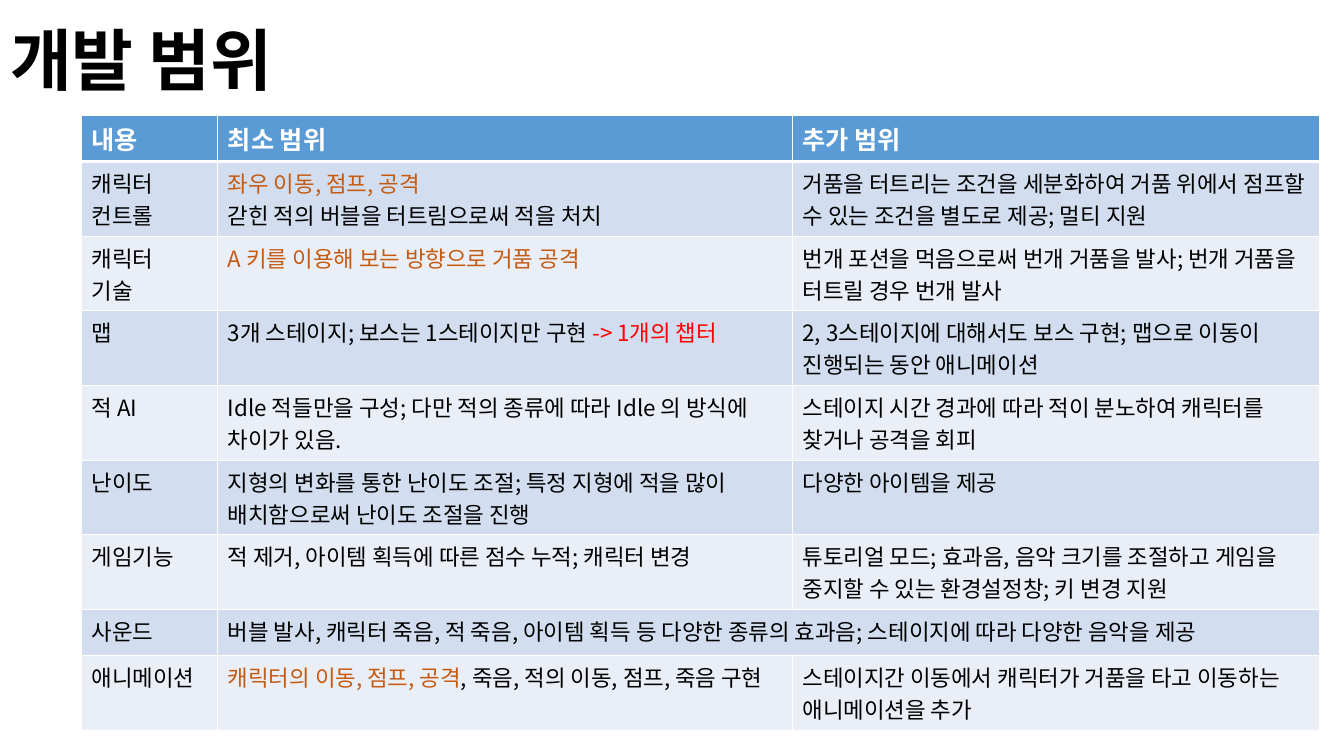
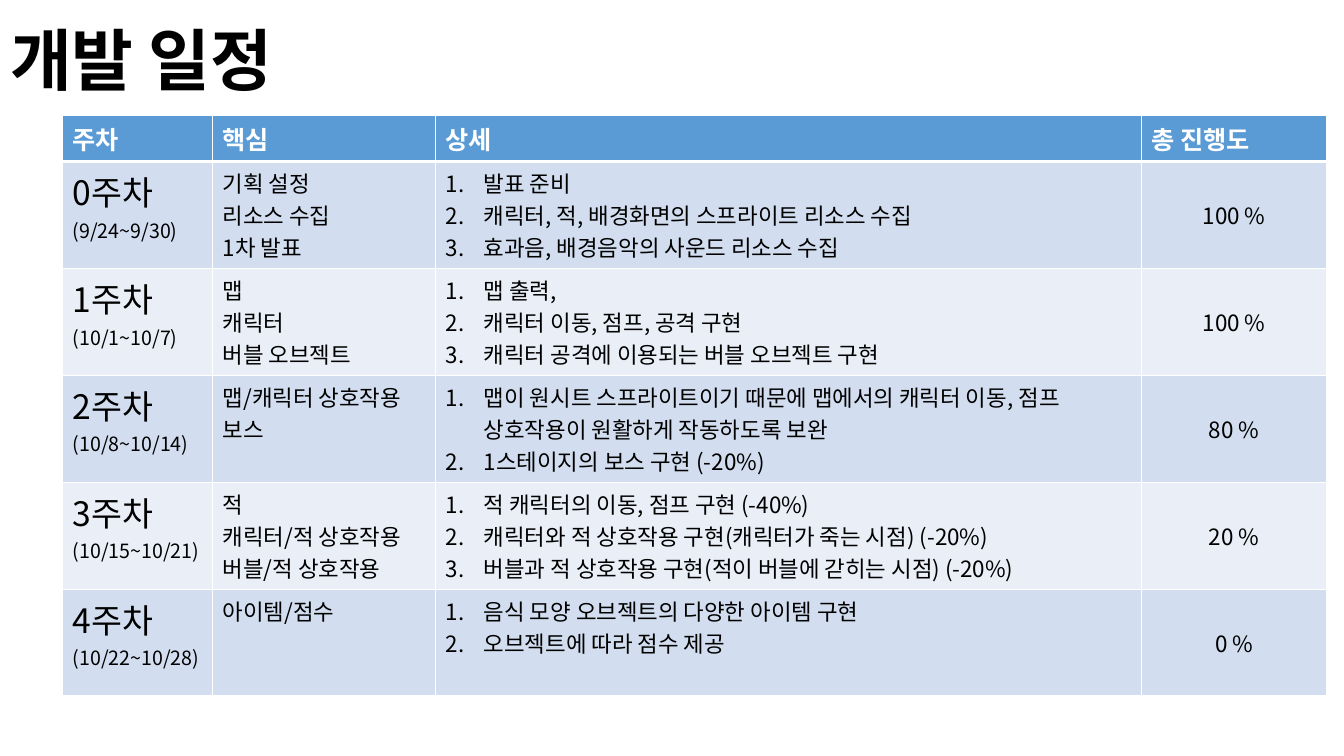
from lxml import etree
from pptx import Presentation
from pptx.dml.color import RGBColor
from pptx.enum.text import MSO_ANCHOR, MSO_AUTO_SIZE, PP_ALIGN
from pptx.oxml.ns import qn
from pptx.util import Inches, Pt

BLACK = RGBColor(0x00, 0x00, 0x00)
WHITE = RGBColor(0xFF, 0xFF, 0xFF)
ORANGE = RGBColor(0xC5, 0x5A, 0x11)
RED = RGBColor(0xFF, 0x00, 0x00)
HEADER_BLUE = RGBColor(0x5B, 0x9B, 0xD5)
BAND_DARK = RGBColor(0xD2, 0xDE, 0xEF)
BAND_LIGHT = RGBColor(0xEA, 0xEF, 0xF7)

KOREAN_FONT = "Noto Sans CJK KR"
TITLE_FONT = "Arial"
TABLE_TOP = 1.14
HEADER_HEIGHT = 0.44
LIST_INDENT = Inches(0.38)

prs = Presentation()
prs.slide_width = Inches(13.33)
prs.slide_height = Inches(7.5)


def add_run(paragraph, text, size=16, colour=BLACK, bold=False, latin=KOREAN_FONT):
    run = paragraph.add_run()
    run.text = text
    font = run.font
    font.size = Pt(size)
    font.bold = bold
    font.color.rgb = colour
    font.name = latin
    etree.SubElement(run._r.get_or_add_rPr(), qn("a:ea"), typeface=KOREAN_FONT)


def add_table_slide(heading, left, widths, body_heights, headers):
    """Add a titled slide with a banded table; return the table, its body still empty."""
    slide = prs.slides.add_slide(prs.slide_layouts[5])
    title = slide.shapes.title
    title.left, title.top = Inches(0), Inches(0.13)
    title.width, title.height = Inches(3.13), Inches(0.91)
    frame = title.text_frame
    frame.auto_size = MSO_AUTO_SIZE.NONE
    frame.vertical_anchor = MSO_ANCHOR.MIDDLE
    frame.paragraphs[0].alignment = PP_ALIGN.LEFT
    add_run(frame.paragraphs[0], heading, 48, bold=True, latin=TITLE_FONT)

    heights = [HEADER_HEIGHT] + body_heights
    table = slide.shapes.add_table(
        len(heights), len(widths), Inches(left), Inches(TABLE_TOP),
        Inches(sum(widths)), Inches(sum(heights))).table
    for column, width in zip(table.columns, widths):
        column.width = Inches(width)
    for number, (row, height) in enumerate(zip(table.rows, heights)):
        row.height = Inches(height)
        band = BAND_DARK if number % 2 else BAND_LIGHT
        for cell in row.cells:
            for side in "LRTB":
                thick = (number, side) in [(0, "B"), (1, "T")]
                line = etree.SubElement(cell._tc.get_or_add_tcPr(), qn(f"a:ln{side}"),
                                        w=str(Pt(3 if thick else 1)))
                line_fill = etree.SubElement(line, qn("a:solidFill"))
                etree.SubElement(line_fill, qn("a:srgbClr"), val=str(WHITE))
            cell.fill.solid()
            cell.fill.fore_color.rgb = band if number else HEADER_BLUE
    for cell, header in zip(table.rows[0].cells, headers):
        add_run(cell.text_frame.paragraphs[0], header, 18, WHITE, bold=True)
    return table


# Development scope: each cell is a list of lines, each line a list of (text, colour)
scope_rows = [
    [[[("캐릭터", BLACK)], [("컨트롤", BLACK)]],
     [[("좌우 이동, 점프, 공격", ORANGE)],
      [("갇힌 적의 버블을 터트림으로써 적을 처치", BLACK)]],
     [[("거품을 터트리는 조건을 세분화하여 거품 위에서 점프할 수 있는 조건을 별도로 제공; 멀티 지원", BLACK)]]],
    [[[("캐릭터", BLACK)], [("기술", BLACK)]],
     [[("A 키를 이용해 보는 방향으로 거품 공격", ORANGE)]],
     [[("번개 포션을 먹음으로써 번개 거품을 발사; 번개 거품을 터트릴 경우 번개 발사", BLACK)]]],
    [[[("맵", BLACK)]],
     [[("3개 스테이지; 보스는 1스테이지만 구현 ", BLACK), ("-> 1개의 챕터", RED)]],
     [[("2, 3스테이지에 대해서도 보스 구현; 맵으로 이동이 진행되는 동안 애니메이션", BLACK)]]],
    [[[("적 AI", BLACK)]],
     [[("Idle 적들만을 구성; 다만 적의 종류에 따라 Idle 의 방식에 차이가 있음.", BLACK)]],
     [[("스테이지 시간 경과에 따라 적이 분노하여 캐릭터를 찾거나 공격을 회피", BLACK)]]],
    [[[("난이도", BLACK)]],
     [[("지형의 변화를 통한 난이도 조절; 특정 지형에 적을 많이 배치함으로써 난이도 조절을 진행", BLACK)]],
     [[("다양한 아이템을 제공", BLACK)]]],
    [[[("게임기능", BLACK)]],
     [[("적 제거, 아이템 획득에 따른 점수 누적; 캐릭터 변경", BLACK)]],
     [[("튜토리얼 모드; 효과음, 음악 크기를 조절하고 게임을 중지할 수 있는 환경설정창; 키 변경 지원", BLACK)]]],
    [[[("사운드", BLACK)]],
     [[("버블 발사, 캐릭터 죽음, 적 죽음, 아이템 획득 등 다양한 종류의 효과음; 스테이지에 따라 다양한 음악을 제공", BLACK)]]],
    [[[("애니메이션", BLACK)]],
     [[("캐릭터의 이동, 점프, 공격", ORANGE), (", 죽음, 적의 이동, 점프, 죽음 구현", BLACK)]],
     [[("스테이지간 이동에서 캐릭터가 거품을 타고 이동하는 애니메이션을 추가", BLACK)]]],
]
scope = add_table_slide("개발 범위", 0.81, [1.35, 5.7, 5.23], [0.74] * 6 + [0.46, 0.74],
                        ["내용", "최소 범위", "추가 범위"])
for row_number, scope_row in enumerate(scope_rows, start=1):
    if len(scope_row) == 2:
        scope.cell(row_number, 1).merge(scope.cell(row_number, 2))
    for column_number, lines in enumerate(scope_row):
        frame = scope.cell(row_number, column_number).text_frame
        for line_number, runs in enumerate(lines):
            paragraph = frame.add_paragraph() if line_number else frame.paragraphs[0]
            for text, colour in runs:
                add_run(paragraph, text, colour=colour)

# Development schedule: week, dates, key points, numbered details, progress
weeks = [
    ("0주차", "(9/24~9/30)",
     ["기획 설정", "리소스 수집", "1차 발표"],
     ["발표 준비", "캐릭터, 적, 배경화면의 스프라이트 리소스 수집",
      "효과음, 배경음악의 사운드 리소스 수집"], "100 %"),
    ("1주차", "(10/1~10/7)",
     ["맵", "캐릭터", "버블 오브젝트"],
     ["맵 출력,", "캐릭터 이동, 점프, 공격 구현",
      "캐릭터 공격에 이용되는 버블 오브젝트 구현"], "100 %"),
    ("2주차", "(10/8~10/14)",
     ["맵/캐릭터 상호작용", "보스"],
     ["맵이 원시트 스프라이트이기 때문에 맵에서의 캐릭터 이동, 점프 상호작용이 원활하게 작동하도록 보완",
      "1스테이지의 보스 구현 (-20%)"], "80 %"),
    ("3주차", "(10/15~10/21)",
     ["적", "캐릭터/적 상호작용", "버블/적 상호작용"],
     ["적 캐릭터의 이동, 점프 구현 (-40%)",
      "캐릭터와 적 상호작용 구현(캐릭터가 죽는 시점) (-20%)",
      "버블과 적 상호작용 구현(적이 버블에 갇히는 시점) (-20%)"], "20 %"),
    ("4주차", "(10/22~10/28)",
     ["아이템/점수"],
     ["음식 모양 오브젝트의 다양한 아이템 구현", "오브젝트에 따라 점수 제공"], "0 %"),
]
schedule = add_table_slide("개발 일정", 0.62, [1.49, 2.21, 7, 1.84], [1.06] * len(weeks),
                           ["주차", "핵심", "상세", "총 진행도"])
for row_number, (week, dates, key_points, details, progress) in enumerate(weeks, start=1):
    week_cell, key_cell, detail_cell, progress_cell = schedule.rows[row_number].cells
    add_run(week_cell.text_frame.paragraphs[0], week, 24)
    add_run(week_cell.text_frame.add_paragraph(), dates, 14)

    for cell, lines in [(key_cell, key_points), (detail_cell, details)]:
        frame = cell.text_frame
        for line_number, text in enumerate(lines):
            paragraph = frame.add_paragraph() if line_number else frame.paragraphs[0]
            add_run(paragraph, text)
    for paragraph in detail_cell.text_frame.paragraphs:
        properties = paragraph._p.get_or_add_pPr()
        properties.set("marL", str(LIST_INDENT))
        properties.set("indent", str(-LIST_INDENT))
        etree.SubElement(properties, qn("a:buAutoNum"), type="arabicPeriod")

    progress_cell.vertical_anchor = MSO_ANCHOR.MIDDLE
    progress_line = progress_cell.text_frame.paragraphs[0]
    progress_line.alignment = PP_ALIGN.CENTER
    add_run(progress_line, progress)

prs.save("out.pptx")
